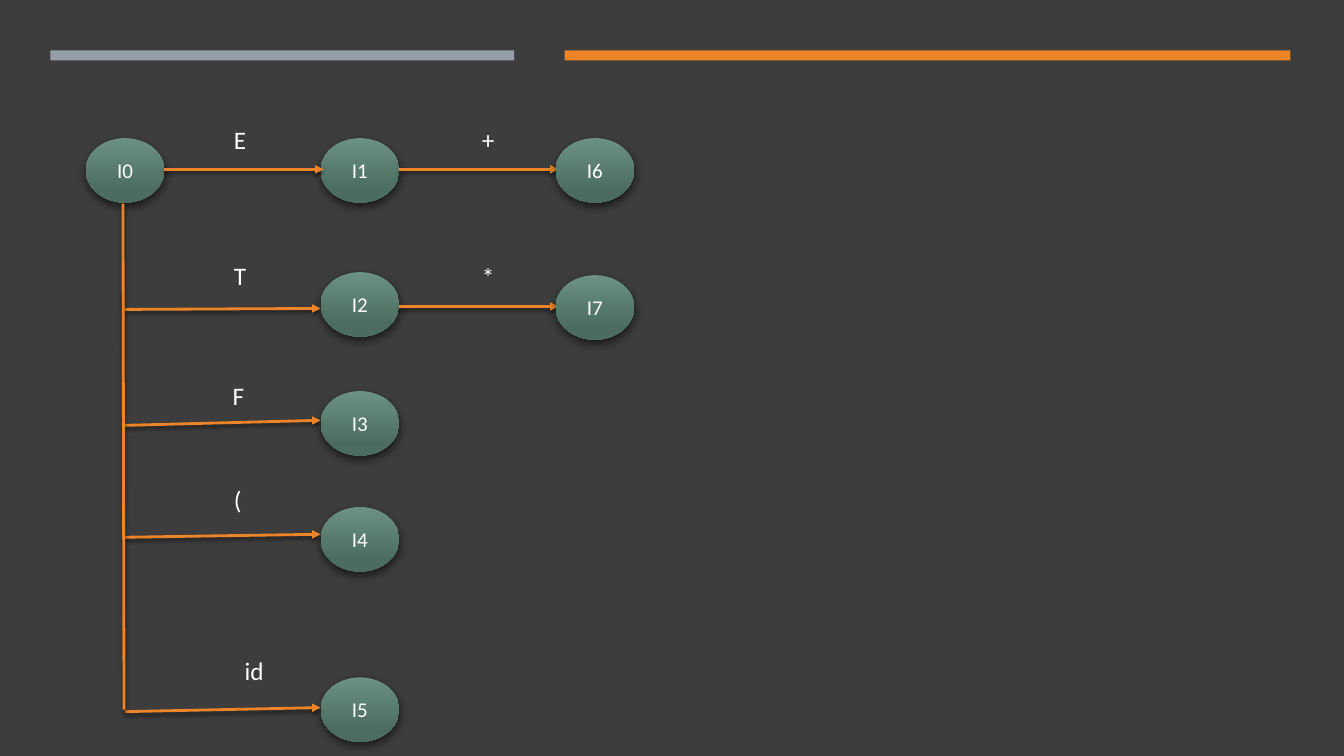
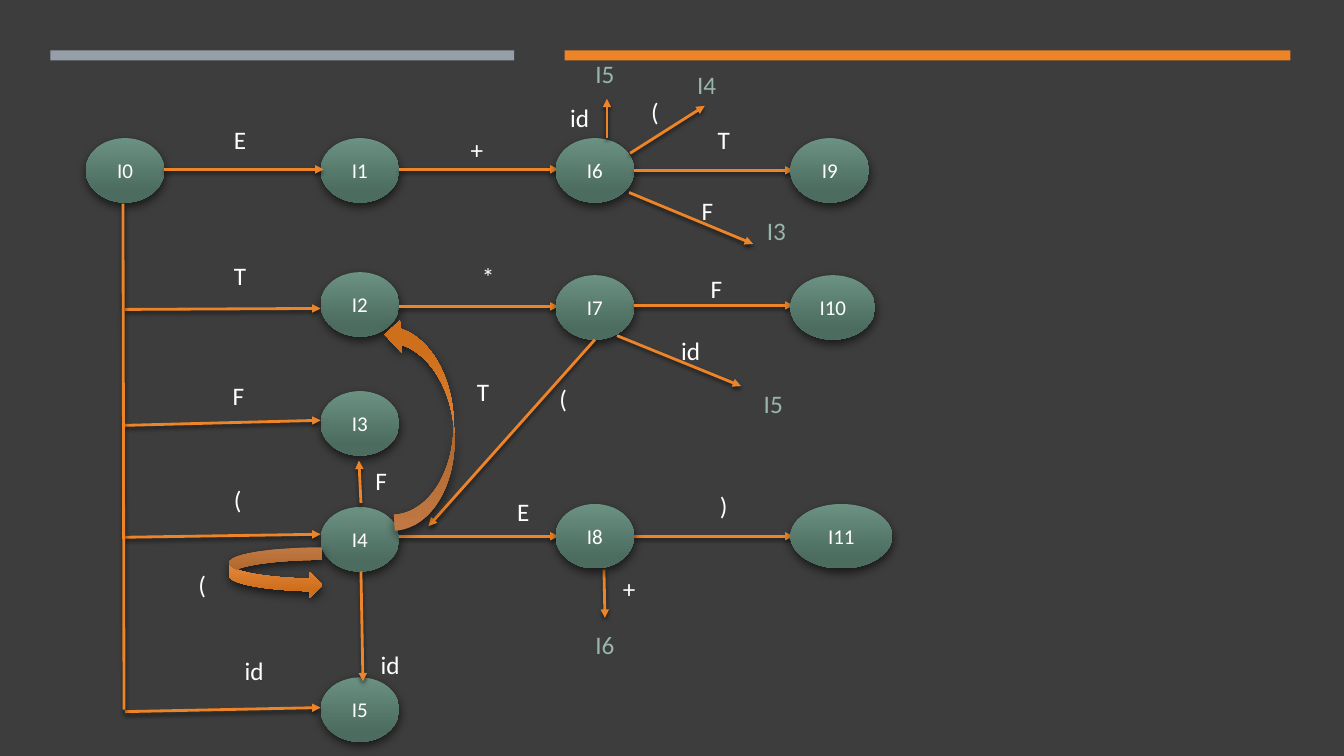
"""Build two slides that grow the state diagram of an LR parser."""
import pptx
import pptx.dml.color
import pptx.enum.dml
import pptx.enum.shapes
import pptx.enum.text
import pptx.oxml
import pptx.oxml.ns
import pptx.util
from lxml import etree

COLORS = {
    "background": "3D3D3D", "grey": "969FA7", "orange": "ED8428",
    "text": "FFFFFF", "reference": "98B6AA", "shadow": "000000",
    "node_top": "6B9182", "node_bottom": "4C6C5F",
    "loop_top": "F09856", "loop_bottom": "CE6F1B",
}
FONT = "Calibri"
WIDTH, HEIGHT = 13.33, 7.5
MARGIN = 0.5
COLUMN_LEFT, COLUMN_STEP = 0.85, 2.33
NODE_WIDTH, NODE_HEIGHT = 0.78, 0.64
NARROW, WIDE, LABEL_HEIGHT = 0.41, 0.6, 0.4
STEM = 1.24
SHAPES = pptx.enum.shapes.MSO_SHAPE
ALIGN = pptx.enum.text.PP_ALIGN

START_NODES = [("I0", 0, 1.37), ("I1", 1, 1.37), ("I2", 1, 2.7),
               ("I3", 1, 3.88), ("I4", 1, 5.03), ("I5", 1, 6.72)]
SECOND_NODES = [("I6", 2, 1.37), ("I7", 2, 2.73)]
THIRD_NODES = [("I8", 2, 5), ("I9", 3, 1.37), ("I10", 3, 2.73, 0.84),
               ("I11", 3, 5, 1.01)]

START_STEPS = [(0, 1.68), (1, 1.68), (1, 3.04)]
THIRD_STEPS = [(1, 5.32), (2, 1.69), (2, 3.03), (2, 5.32)]
BRANCHES = [(3.07, 3.06), (4.22, 4.17), (5.33, 5.3), (7.06, 7.02)]
THIRD_ARROWS = [
    (3.58, 5.67, 3.6, 6.76), (3.58, 4.99, 3.56, 4.57),
    (6.24, 1.91, 7.47, 2.42), (6.25, 1.52, 6.99, 1.05),
    (6.02, 1.37, 6.02, 0.98), (5.9, 3.37, 4.25, 5.22),
    (6.12, 3.33, 7.35, 3.83), (5.99, 5.65, 6, 6.13),
]

START_LABELS = [("E", 2.22, 1.18), ("T", 2.22, 2.53), ("F", 2.21, 3.72),
                ("(", 2.22, 4.76), ("*", 4.68, 2.54)]
START_CENTERED = [("id", 2.22, 6.45)]
THIRD_LABELS = [("E", 5.03, 4.87), ("T", 7.02, 1.18), ("(", 6.36, 0.91),
                ("F", 6.86, 1.89), ("F", 6.95, 2.66), ("(", 5.45, 3.75),
                (")", 7.04, 4.82), ("+", 6.08, 5.64), ("(", 1.87, 5.6)]
THIRD_CENTERED = [("id", 3.57, 6.39), ("T", 4.49, 3.68), ("F", 3.48, 4.57),
                  ("id", 5.45, 0.97), ("id", 6.55, 3.28)]
REFERENCES = [("I4", 6.71, 0.64), ("I3", 7.4, 2.09), ("I5", 5.7, 0.53),
              ("I5", 7.37, 3.8), ("I6", 5.7, 6.19)]
LOOPS = [(3.86, 3.14, 0.64, 2.11, 177), (2.27, 5.43, 0.93, 0.5, 0)]


def inches(*lengths):
    return [pptx.util.Inches(length) for length in lengths]


def color(name):
    return pptx.dml.color.RGBColor.from_string(COLORS[name])


def column(index):
    return COLUMN_LEFT + COLUMN_STEP * index


def add_shadow(shape, opacity, blur, distance, angle):
    properties = shape.element.spPr
    effects = properties.find(pptx.oxml.ns.qn("a:effectLst"))
    if effects is None:
        effects = etree.SubElement(properties, pptx.oxml.ns.qn("a:effectLst"))
    effects.append(pptx.oxml.parse_xml(
        f'<a:outerShdw {pptx.oxml.ns.nsdecls("a")} blurRad="{blur * 12700}" '
        f'dist="{distance * 12700}" dir="{angle * 60000}" rotWithShape="0">'
        f'<a:srgbClr val="{COLORS["shadow"]}"><a:alpha val="{opacity * 1000}"/>'
        '</a:srgbClr></a:outerShdw>'))


def add_plain_shape(page, kind, left, top, width, height):
    shape = page.shapes.add_shape(kind, *inches(left, top, width, height))
    shape.line.fill.background()
    shape.shadow.inherit = False
    return shape


def add_glossy_shape(page, kind, place, style):
    shape = add_plain_shape(page, kind, *place)
    shape.fill.gradient()
    shape.fill.gradient_angle = 270
    stops = zip(shape.fill.gradient_stops, (0, 0.84), ("top", "bottom"))
    for stop, position, end in stops:
        stop.position = position
        stop.color.rgb = color(f"{style}_{end}")
    add_shadow(shape, 60, 7, 3, 84)
    return shape


def write(box, text, size, color_name, alignment):
    para = box.text_frame.paragraphs[0]
    para.alignment = alignment
    span = para.add_run()
    span.text = text
    span.font.name = FONT
    span.font.size = pptx.util.Pt(size)
    span.font.color.rgb = color(color_name)


def add_node(page, name, index, top, width=NODE_WIDTH):
    place = (column(index), top, width, NODE_HEIGHT)
    node = add_glossy_shape(page, SHAPES.OVAL, place, "node")
    node.text_frame.vertical_anchor = pptx.enum.text.MSO_ANCHOR.MIDDLE
    write(node, name, 15, "text", ALIGN.CENTER)


def add_label(page, text, left, top, centered=False, color_name="text"):
    width = WIDE if centered else NARROW
    box = page.shapes.add_textbox(*inches(left, top, width, LABEL_HEIGHT))
    box.text_frame.word_wrap = True
    box.text_frame.auto_size = pptx.enum.text.MSO_AUTO_SIZE.SHAPE_TO_FIT_TEXT
    write(box, text, 18, color_name, ALIGN.CENTER if centered else ALIGN.LEFT)


def add_line(page, start_x, start_y, end_x, end_y, arrow=True):
    line = page.shapes.add_connector(
        pptx.enum.shapes.MSO_CONNECTOR.STRAIGHT,
        *inches(start_x, start_y, end_x, end_y))
    line.line.color.rgb = color("orange")
    line.line.width = pptx.util.Pt(2)
    if arrow:
        outline = line.element.spPr.find(pptx.oxml.ns.qn("a:ln"))
        etree.SubElement(outline, pptx.oxml.ns.qn("a:tailEnd"), type="triangle")
    add_shadow(line, 55, 3, 2, 90)


def add_step(page, index, height):
    add_line(page, column(index) + NODE_WIDTH, height,
             column(index + 1) + 0.03, height)


def add_loop(page, left, top, width, height, rotation):
    place = (left, top, width, height)
    loop = add_glossy_shape(page, SHAPES.CURVED_RIGHT_ARROW, place, "loop")
    loop.rotation = rotation


def add_page(deck):
    page = deck.slides.add_slide(deck.slide_layouts[6])
    page.background.fill.solid()
    page.background.fill.fore_color.rgb = color("background")
    for left, width, name in [(MARGIN, 4.6, "grey"), (5.6, 7.2, "orange")]:
        band = add_plain_shape(page, SHAPES.RECTANGLE, left, MARGIN, width, 0.1)
        band.fill.solid()
        band.fill.fore_color.rgb = color(name)
    return page


def draw_start(page, plus_left, plus_top):
    for node in START_NODES:
        add_node(page, *node)
    for step in START_STEPS:
        add_step(page, *step)
    for start, end in BRANCHES:
        add_line(page, STEM, start, column(1), end)
    add_line(page, 1.22, 2.02, 1.23, 7.04, arrow=False)
    for node in SECOND_NODES:
        add_node(page, *node)
    for label in START_LABELS + [("+", plus_left, plus_top)]:
        add_label(page, *label)
    for label in START_CENTERED:
        add_label(page, *label, centered=True)


def draw_third(page):
    for step in THIRD_STEPS:
        add_step(page, *step)
    for arrow in THIRD_ARROWS:
        add_line(page, *arrow)
    for node in THIRD_NODES:
        add_node(page, *node)
    for loop in LOOPS:
        add_loop(page, *loop)
    for label in THIRD_LABELS:
        add_label(page, *label)
    for label in THIRD_CENTERED:
        add_label(page, *label, centered=True)
    for label in REFERENCES:
        add_label(page, *label, centered=True, color_name="reference")


def main():
    deck = pptx.Presentation()
    deck.slide_width, deck.slide_height = inches(WIDTH, HEIGHT)
    draw_start(add_page(deck), 4.68, 1.18)
    full_page = add_page(deck)
    draw_start(full_page, 4.57, 1.28)
    draw_third(full_page)
    deck.save("out.pptx")


if __name__ == "__main__":
    main()
